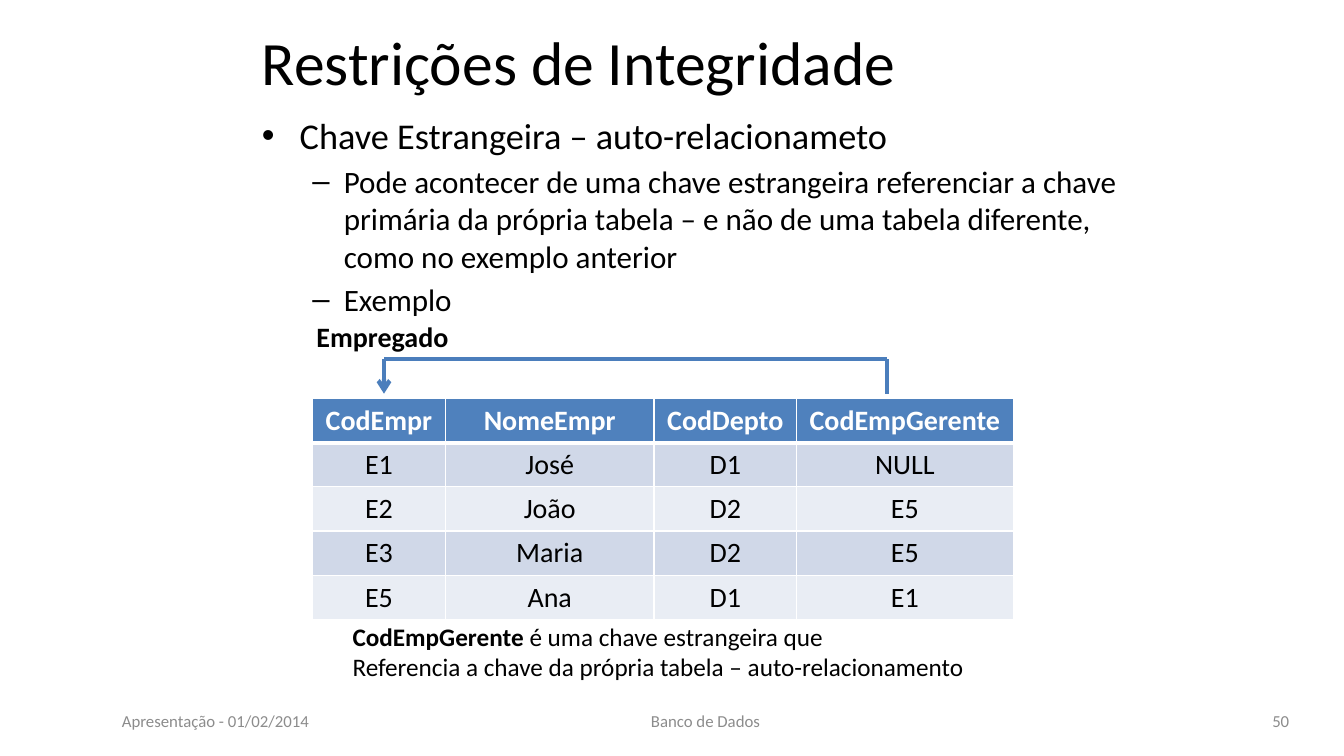
from lxml import etree
from pptx import Presentation
from pptx.dml.color import RGBColor
from pptx.enum.shapes import MSO_CONNECTOR
from pptx.enum.text import MSO_ANCHOR, PP_ALIGN
from pptx.oxml.ns import qn
from pptx.util import Pt

LEFT, CENTER, RIGHT = PP_ALIGN.LEFT, PP_ALIGN.CENTER, PP_ALIGN.RIGHT
TOP, MIDDLE = MSO_ANCHOR.TOP, MSO_ANCHOR.MIDDLE
STRAIGHT = MSO_CONNECTOR.STRAIGHT

TITLE = "Restrições de Integridade"
BODY = [
    ("topic", "Chave Estrangeira – auto-relacionameto"),
    ("detail", "Pode acontecer de uma chave estrangeira referenciar a chave primária "
               "da própria tabela – e não de uma tabela diferente, como no exemplo anterior"),
    ("detail", "Exemplo"),
]
TABLE_NAME = "Empregado"
EMPLOYEES = [
    ("CodEmpr", "NomeEmpr", "CodDepto", "CodEmpGerente"),
    ("E1", "José", "D1", "NULL"),
    ("E2", "João", "D2", "E5"),
    ("E3", "Maria", "D2", "E5"),
    ("E5", "Ana", "D1", "E1"),
]
NOTE = [
    [("CodEmpGerente", True), (" é uma chave estrangeira que", False)],
    [("Referencia a chave da própria tabela – auto-relacionamento", False)],
]
FOOTERS = [
    ("Apresentação - 01/02/2014", 80, 224, LEFT),
    ("Banco de Dados", 352, 304, CENTER),
    ("50", 704, 224, RIGHT),
]

THEME = {
    "font": "Calibri",
    "text": "000000", "footer": "8C8C8C", "white": "FFFFFF",
    "header": "4F81BD", "bands": ("D0D8E8", "E9EDF4"), "line": "4B7EBC",
    "title_size": 44, "table_size": 20, "note_size": 18, "footer_size": 12,
}
LEVELS = {
    "topic": {"size": 25.9, "bullet": "•", "margin": 27, "hanging": 27},
    "detail": {"size": 22.2, "bullet": "–", "margin": 58.5, "hanging": 22.5},
}
TABLE_LEFT, TABLE_TOP = 223.2, 284.6
COLUMN_WIDTHS = (95, 149, 101.8, 154.8)
ROW_HEIGHT = 31.6
KEY_X, FOREIGN_KEY_X = 274.3, 633.6
LINK_TOP, LINK_BOTTOM = 256.2, 281.2


def add_run(paragraph, text, size, color=THEME["text"], bold=False):
    run = paragraph.add_run()
    run.text = text
    run.font.name = THEME["font"]
    run.font.size = Pt(size)
    run.font.bold = bold
    run.font.color.rgb = RGBColor.from_string(color)


def add_text(slide, left, top, width, height, lines, size,
             color=THEME["text"], align=LEFT, anchor=TOP, wrap=True):
    shape = slide.shapes.add_textbox(Pt(left), Pt(top), Pt(width), Pt(height))
    frame = shape.text_frame
    frame.word_wrap = wrap
    frame.vertical_anchor = anchor
    for index, runs in enumerate(lines):
        paragraph = frame.add_paragraph() if index else frame.paragraphs[0]
        paragraph.alignment = align
        for text, bold in runs:
            add_run(paragraph, text, size, color, bold)


def add_body(slide):
    shape = slide.shapes.add_textbox(Pt(180), Pt(77), Pt(628.6), Pt(147.6))
    frame = shape.text_frame
    frame.word_wrap = True
    for index, (name, text) in enumerate(BODY):
        level = LEVELS[name]
        paragraph = frame.add_paragraph() if index else frame.paragraphs[0]
        paragraph.level = 1 if name == "detail" else 0
        paragraph.space_before = Pt(round(level["size"] * 0.2, 1))
        add_run(paragraph, text, level["size"])
        properties = paragraph._p.get_or_add_pPr()
        properties.set("marL", str(Pt(level["margin"])))
        properties.set("indent", str(-Pt(level["hanging"])))
        etree.SubElement(properties, qn("a:buFont"), typeface="Arial")
        etree.SubElement(properties, qn("a:buChar"), char=level["bullet"])


def set_borders(cell, row):
    widths = {"L": 1, "R": 1, "T": 3 if row == 1 else 1, "B": 3 if row == 0 else 1}
    properties = cell._tc.get_or_add_tcPr()
    for side, width in widths.items():
        border = etree.SubElement(properties, qn(f"a:ln{side}"), w=str(Pt(width)))
        fill = etree.SubElement(border, qn("a:solidFill"))
        etree.SubElement(fill, qn("a:srgbClr"), val=THEME["white"])


def add_employees(slide):
    table = slide.shapes.add_table(
        len(EMPLOYEES), len(COLUMN_WIDTHS), Pt(TABLE_LEFT), Pt(TABLE_TOP),
        Pt(sum(COLUMN_WIDTHS)), Pt(ROW_HEIGHT * len(EMPLOYEES))).table
    for column, width in zip(table.columns, COLUMN_WIDTHS):
        column.width = Pt(width)
    for row, values in enumerate(EMPLOYEES):
        table.rows[row].height = Pt(ROW_HEIGHT)
        is_header = row == 0
        fill = THEME["header"] if is_header else THEME["bands"][(row - 1) % 2]
        color = THEME["white"] if is_header else THEME["text"]
        for column, value in enumerate(values):
            cell = table.cell(row, column)
            set_borders(cell, row)
            cell.fill.solid()
            cell.fill.fore_color.rgb = RGBColor.from_string(fill)
            paragraph = cell.text_frame.paragraphs[0]
            paragraph.alignment = CENTER
            add_run(paragraph, value, THEME["table_size"], color, is_header)


def add_link(slide):
    corners = [(FOREIGN_KEY_X, LINK_BOTTOM), (FOREIGN_KEY_X, LINK_TOP),
               (KEY_X, LINK_TOP), (KEY_X, LINK_BOTTOM)]
    for start, end in zip(corners, corners[1:]):
        connector = slide.shapes.add_connector(
            STRAIGHT, *[Pt(value) for value in start + end])
        connector.line.width = Pt(3)
        connector.line.color.rgb = RGBColor.from_string(THEME["line"])
        if end == corners[-1]:
            etree.SubElement(connector.line._get_or_add_ln(), qn("a:tailEnd"), type="arrow")
        etree.SubElement(connector._element.spPr, qn("a:effectLst"))


def main():
    presentation = Presentation()
    presentation.slide_width, presentation.slide_height = Pt(960), Pt(540)
    slide = presentation.slides.add_slide(presentation.slide_layouts[6])
    add_text(slide, 180, 9.4, 635.8, 67.7, [[(TITLE, False)]],
             THEME["title_size"], anchor=MIDDLE)
    add_body(slide)
    for text, left, width, align in FOOTERS:
        add_text(slide, left, 500.5, width, 28.8, [[(text, False)]],
                 THEME["footer_size"], THEME["footer"], align, MIDDLE)
    add_employees(slide)
    add_text(slide, 218.9, 224.6, 109.4, 31.7, [[(TABLE_NAME, True)]],
             THEME["table_size"], wrap=False)
    add_text(slide, 244.8, 440, 456.5, 51, NOTE, THEME["note_size"], wrap=False)
    add_link(slide)
    presentation.save("out.pptx")


if __name__ == "__main__":
    main()
